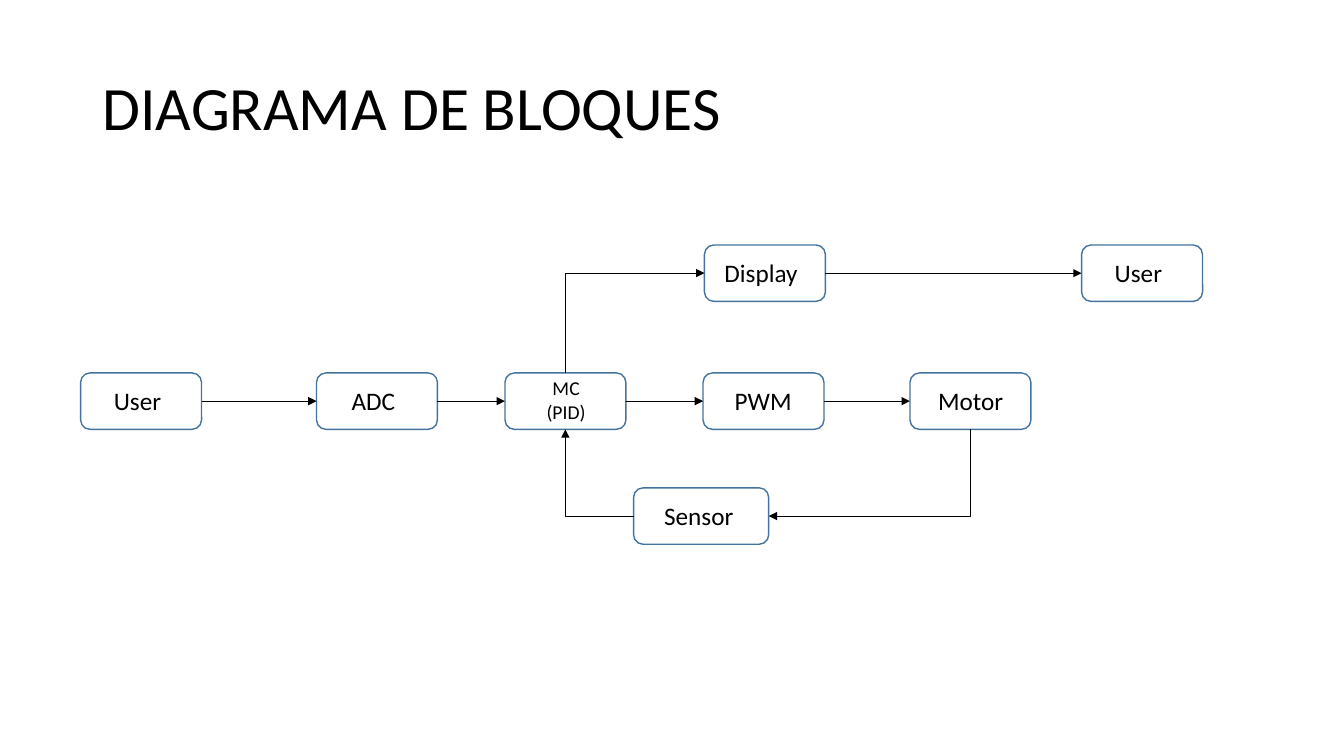
from dataclasses import dataclass

from lxml import etree
from pptx import Presentation
from pptx.dml.color import RGBColor
from pptx.enum import shapes, text
from pptx.oxml.ns import qn
from pptx.util import Pt


@dataclass(frozen=True)
class Theme:
    font: str = "Calibri"
    ink: RGBColor = RGBColor(0x00, 0x00, 0x00)
    outline: RGBColor = RGBColor(0x43, 0x73, 0x9E)
    title_size: int = 44
    label_size: int = 18
    small_size: int = 14
    box_line: float = 1
    arrow_line: float = 0.5


THEME = Theme()
BOX_WIDTH, BOX_HEIGHT = 86.4, 40.3
DISPLAY_ROW, MAIN_ROW, SENSOR_ROW = 175, 266.4, 348.5
TOP, LEFT, BOTTOM, RIGHT = range(4)  # connection sites of a box

# name: label, box left, row, box width, label inset, label width
BLOCKS = {
    "input user": ("User", 57.6, MAIN_ROW, BOX_WIDTH, 16.6, 50),
    "adc": ("ADC", 226.1, MAIN_ROW, BOX_WIDTH, 18, 50),
    "pwm": ("PWM", 502.2, MAIN_ROW, BOX_WIDTH, 15.5, 60),
    "motor": ("Motor", 650, MAIN_ROW, BOX_WIDTH, 13, 64),
    "sensor": ("Sensor", 452.6, SENSOR_ROW, 96.5, 14.7, 73),
    "display": ("Display", 503.2, DISPLAY_ROW, BOX_WIDTH, 7.2, 72),
    "output user": ("User", 772.6, DISPLAY_ROW, BOX_WIDTH, 16.6, 50),
}

STRAIGHT_ARROWS = [
    ("input user", "adc"),
    ("adc", "mc"),
    ("mc", "pwm"),
    ("pwm", "motor"),
    ("display", "output user"),
]

ELBOW_ARROWS = [
    ("mc", TOP, "display", LEFT),
    ("motor", BOTTOM, "sensor", RIGHT),
    ("sensor", LEFT, "mc", BOTTOM),
]


def add_text(slide, words, left, top, width, height, size,
             align=None, anchor=text.MSO_ANCHOR.TOP, spacing=None):
    box = slide.shapes.add_textbox(Pt(left), Pt(top), Pt(width), Pt(height))
    frame = box.text_frame
    frame.word_wrap = True
    frame.vertical_anchor = anchor
    paragraph = frame.paragraphs[0]
    paragraph.alignment = align
    paragraph.line_spacing = spacing
    run = paragraph.add_run()
    run.text = words
    run.font.name = THEME.font
    run.font.size = Pt(size)
    run.font.color.rgb = THEME.ink


def add_box(slide, left, top, width=BOX_WIDTH):
    box = slide.shapes.add_shape(
        shapes.MSO_SHAPE.ROUNDED_RECTANGLE,
        Pt(left), Pt(top), Pt(width), Pt(BOX_HEIGHT))
    box.shadow.inherit = False
    box.fill.background()
    box.line.color.rgb = THEME.outline
    box.line.width = Pt(THEME.box_line)
    return box


def add_arrow(slide, source, source_site, target, target_site,
              kind=shapes.MSO_CONNECTOR.STRAIGHT):
    arrow = slide.shapes.add_connector(kind, 0, 0, 0, 0)
    arrow.begin_connect(source, source_site)
    arrow.end_connect(target, target_site)
    arrow.line.color.rgb = THEME.ink
    arrow.line.width = Pt(THEME.arrow_line)
    etree.SubElement(arrow.line._get_or_add_ln(), qn("a:tailEnd"), type="triangle")
    etree.SubElement(arrow._element.spPr, qn("a:effectLst"))
    return arrow


def add_elbow(slide, source, source_site, target, target_site):
    arrow = add_arrow(slide, source, source_site, target, target_site,
                      shapes.MSO_CONNECTOR.ELBOW)
    properties = arrow._element.spPr
    properties.find(qn("a:prstGeom")).set("prst", "bentConnector2")
    if source_site in (LEFT, RIGHT):
        return
    # The preset starts sideways; a quarter turn makes it start vertically.
    across = arrow.end_x - arrow.begin_x
    down = arrow.end_y - arrow.begin_y
    middle_x = (arrow.begin_x + arrow.end_x) // 2
    middle_y = (arrow.begin_y + arrow.end_y) // 2
    arrow.begin_x, arrow.end_x = middle_x - down // 2, middle_x + down // 2
    arrow.begin_y, arrow.end_y = middle_y + across // 2, middle_y - across // 2
    properties.find(qn("a:xfrm")).set("rot", str(90 * 60000))


def main():
    presentation = Presentation()
    presentation.slide_width, presentation.slide_height = Pt(960), Pt(540)
    slide = presentation.slides.add_slide(presentation.slide_layouts[6])

    # Title
    add_text(slide, "DIAGRAMA DE BLOQUES", 66.2, 26.6, 828, 104.4,
             THEME.title_size, anchor=text.MSO_ANCHOR.MIDDLE, spacing=0.9)

    # Blocks and their labels
    boxes = {}
    for name, (label, left, top, width, inset, label_width) in BLOCKS.items():
        boxes[name] = add_box(slide, left, top, width)
        add_text(slide, label, left + inset, top + 5, label_width, 29,
                 THEME.label_size)

    # Controller block with its smaller two-line label
    boxes["mc"] = add_box(slide, 360.7, MAIN_ROW)
    add_text(slide, "MC (PID)", 379.4, MAIN_ROW - 1.4, 50, 41,
             THEME.small_size, align=text.PP_ALIGN.CENTER)

    # Signal flow
    for source, target in STRAIGHT_ARROWS:
        add_arrow(slide, boxes[source], RIGHT, boxes[target], LEFT)
    for source, source_site, target, target_site in ELBOW_ARROWS:
        add_elbow(slide, boxes[source], source_site, boxes[target], target_site)

    presentation.save("out.pptx")


main()
